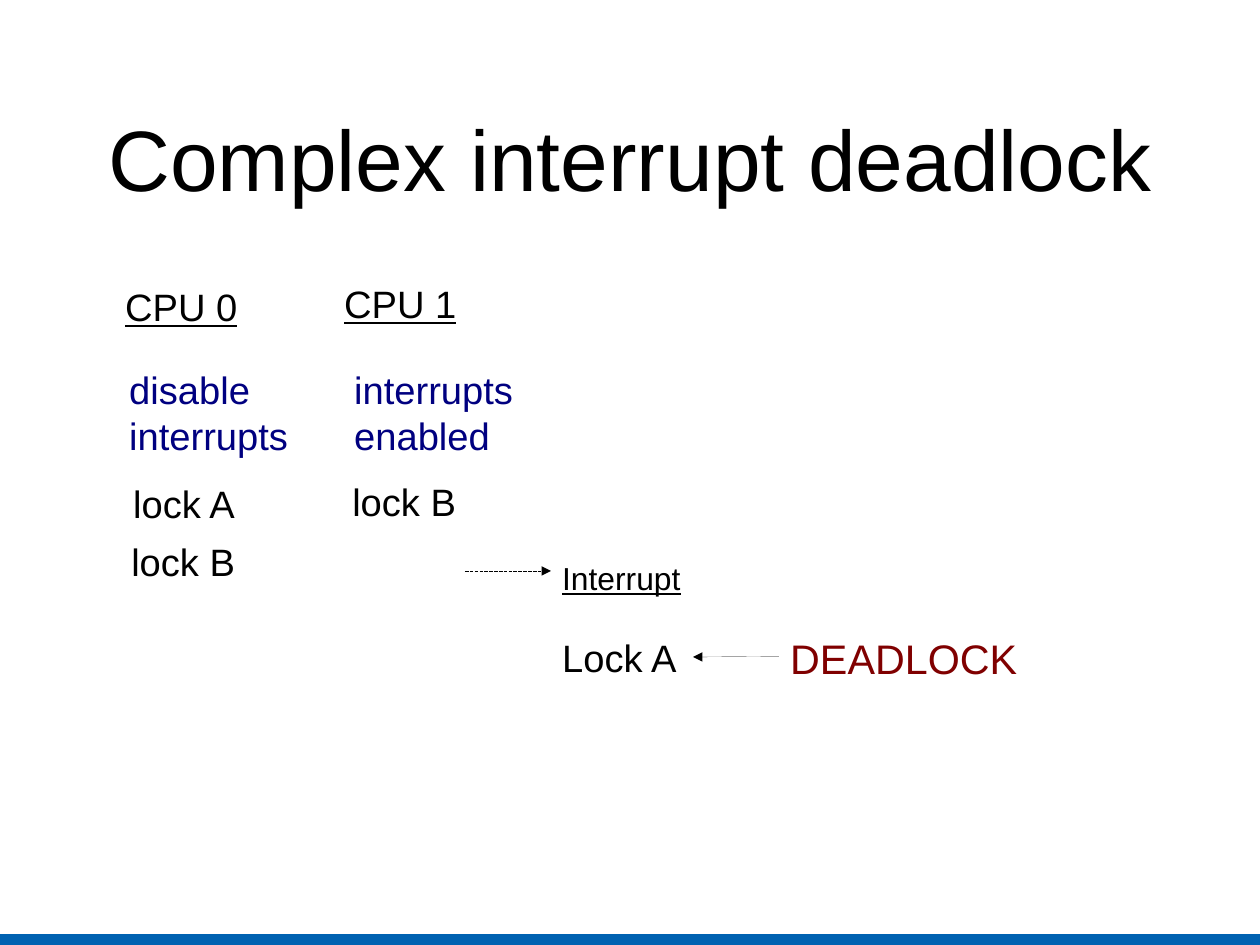
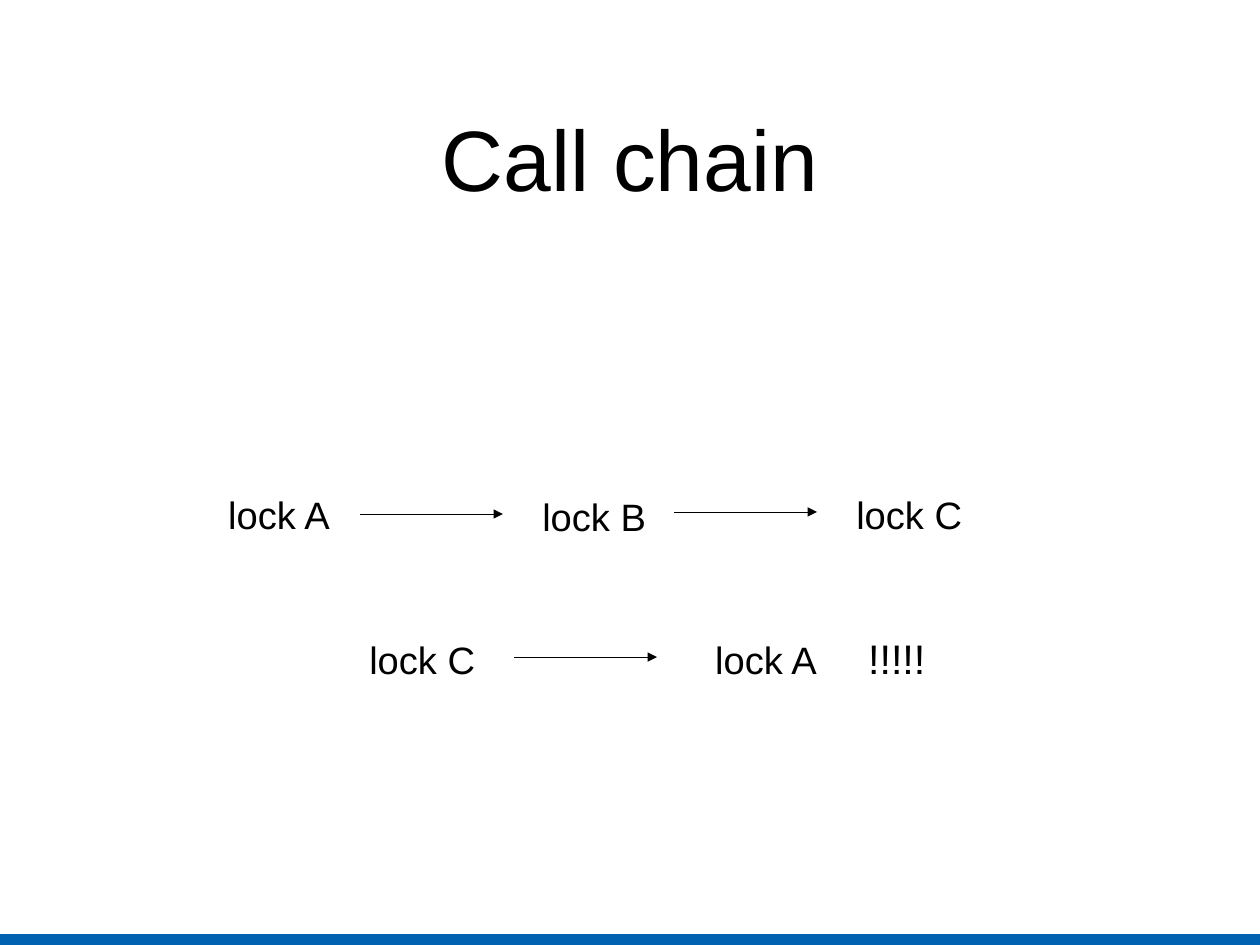
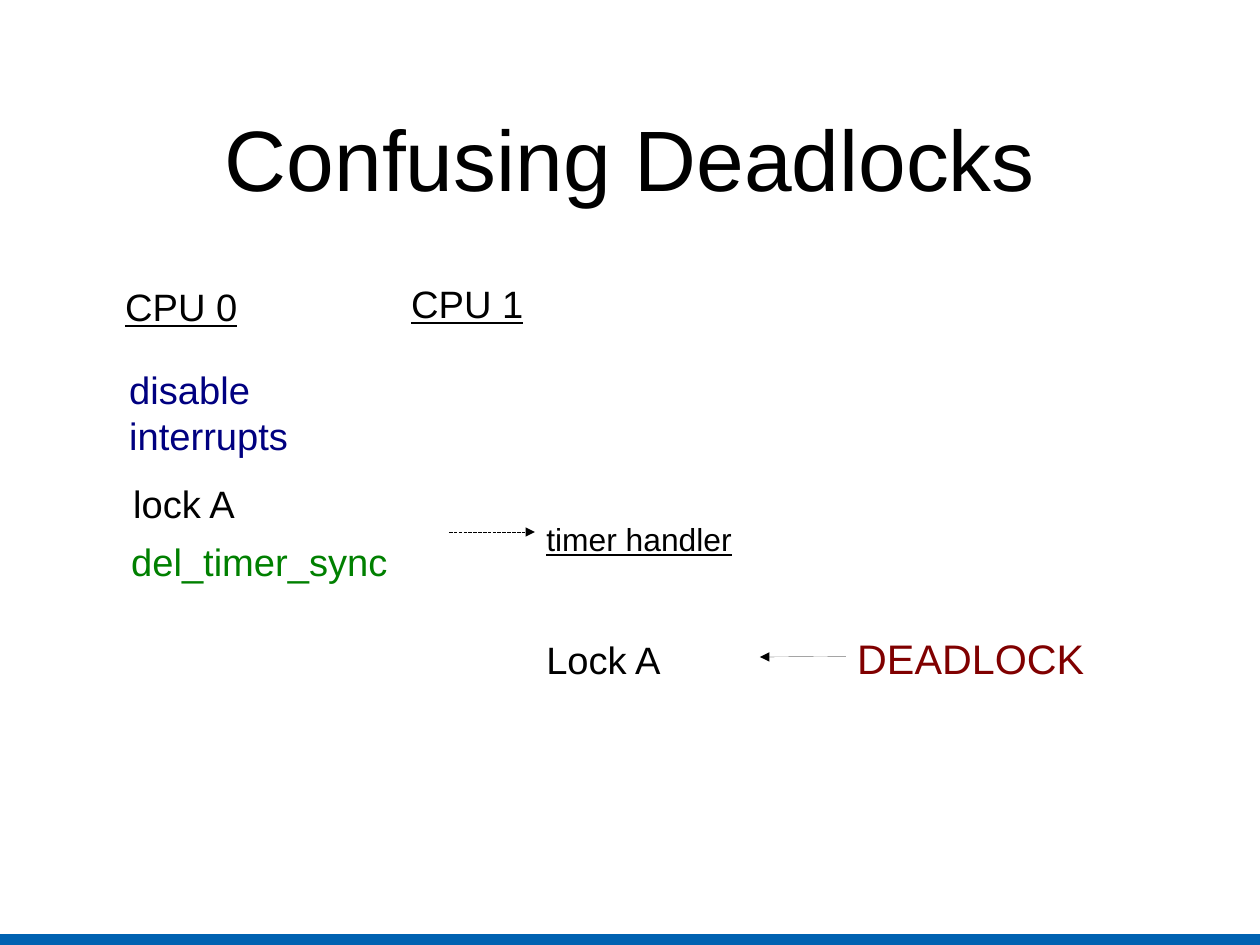
from dataclasses import dataclass
from lxml import etree
from pptx import Presentation
from pptx import util as u
from pptx.dml import color
from pptx.enum import dml, shapes, text
from pptx.oxml import ns

PX = 8000
WIDE, HIGH = 1260, 945


@dataclass(frozen=True)
class Theme:
    font: str = "Arial"
    ink: str = "000000"
    navy: str = "000080"
    green: str = "008000"
    red: str = "800000"
    band: str = "0062B1"
    title: int = 54
    loud: int = 26
    body: int = 24
    small: int = 20
    hair: int = 1


T = Theme()
SPAN = {"lock A": 127, "lock B": 129, "lock C": 131}


def px(*nums):
    return [u.Emu(n * PX) for n in nums]


def rgb(code):
    return color.RGBColor.from_string(code)


def write(box, lines, size, ink, under=False, align=text.PP_ALIGN.LEFT):
    frame = box.text_frame
    for i, line in enumerate(lines):
        para = frame.add_paragraph() if i else frame.paragraphs[0]
        para.alignment = align
        run = para.add_run()
        run.text = line
        font = run.font
        font.name, font.size, font.underline = T.font, u.Pt(size), under
        font.color.rgb = rgb(ink)


def label(slide, x, y, wide, words, size=T.body, ink=T.ink, under=False):
    lines = words.split("\n")
    high = round(11 + 1.77 * size * len(lines))
    box = slide.shapes.add_textbox(*px(x, y, wide, high))
    box.text_frame.word_wrap = False
    box.text_frame.auto_size = text.MSO_AUTO_SIZE.SHAPE_TO_FIT_TEXT
    write(box, lines, size, ink, under)
    return box


def arrow(slide, x, y, end, dash=False):
    link = slide.shapes.add_connector(
        shapes.MSO_CONNECTOR.STRAIGHT, *px(x, y, end, y))
    link.line.color.rgb = rgb(T.ink)
    link.line.width = u.Emu(T.hair)
    if dash:
        link.line.dash_style = dml.MSO_LINE.SQUARE_DOT
    tip = etree.SubElement(link.line._get_or_add_ln(), ns.qn("a:tailEnd"))
    tip.set("type", "triangle")
    etree.SubElement(link._element.spPr, ns.qn("a:effectLst"))
    return link


def page(deck, title):
    slide = deck.slides.add_slide(deck.slide_layouts[6])
    band = slide.shapes.add_shape(
        shapes.MSO_SHAPE.RECTANGLE, *px(0, HIGH - 10, WIDE, 10))
    band.shadow.inherit = False
    band.fill.solid()
    band.fill.fore_color.rgb = band.line.color.rgb = rgb(T.band)
    band.line.width = u.Emu(T.hair)
    head = slide.shapes.add_textbox(*px(92, 84, WIDE - 184, 146))
    frame = head.text_frame
    frame.word_wrap = True
    frame.vertical_anchor = text.MSO_ANCHOR.MIDDLE
    frame.margin_left = frame.margin_right = 0
    frame.margin_top = frame.margin_bottom = 0
    write(head, [title], T.title, T.ink, align=text.PP_ALIGN.CENTER)
    return slide


def column(slide, x, y, name, steps=()):
    label(slide, x, y, 136, name, under=True)
    for dx, dy, wide, words, ink in steps:
        label(slide, x + dx, y + dy, wide, words, ink=ink)


def handler(slide, x, y, name, wide, drop, far):
    arrow(slide, x - 86, y + 18, x, dash=True)
    label(slide, x, y, wide, name, T.small, under=True)
    label(slide, x, y + drop, 138, "Lock A")
    alert = label(slide, x + far, 628, 250, "DEADLOCK", T.loud, T.red)
    link = arrow(slide, x + far, 657, x + far - 86)
    link.begin_connect(alert, 1)


def chain(slide, x, y, step, gap, names, drops, rises):
    for i, (name, drop) in enumerate(zip(names, drops)):
        label(slide, x + i * step, y + drop, SPAN[name], name)
    for i, rise in enumerate(rises):
        left = x + i * step + gap
        arrow(slide, left, y + rise, left + 143)


def main():
    deck = Presentation()
    deck.slide_width, deck.slide_height = px(WIDE, HIGH)
    start = [(4, 83, 183, "disable\ninterrupts", T.navy),
             (8, 197, SPAN["lock A"], "lock A", T.ink)]

    slide = page(deck, "Complex interrupt deadlock")
    column(slide, 114, 278, "CPU 0",
           start + [(6, 255, SPAN["lock B"], "lock B", T.ink)])
    column(slide, 333, 275, "CPU 1",
           [(10, 86, 183, "interrupts\nenabled", T.navy),
            (8, 198, SPAN["lock B"], "lock B", T.ink)])
    handler(slide, 551, 553, "Interrupt", 144, 76, 228)

    slide = page(deck, "Call chain")
    chain(slide, 217, 486, 314, 143,
          ["lock A", "lock B", "lock C"], [0, 2, 0], [28, 26])
    chain(slide, 358, 631, 346, 156, ["lock C", "lock A"], [0, 0], [26])
    label(slide, 857, 628, 81, "!!!!!", T.loud)

    slide = page(deck, "Confusing Deadlocks")
    column(slide, 114, 278, "CPU 0",
           start + [(6, 255, 280, "del_timer_sync", T.green)])
    column(slide, 400, 275, "CPU 1")
    handler(slide, 535, 514, "timer handler", 212, 117, 311)

    deck.save("out.pptx")


if __name__ == "__main__":
    main()
